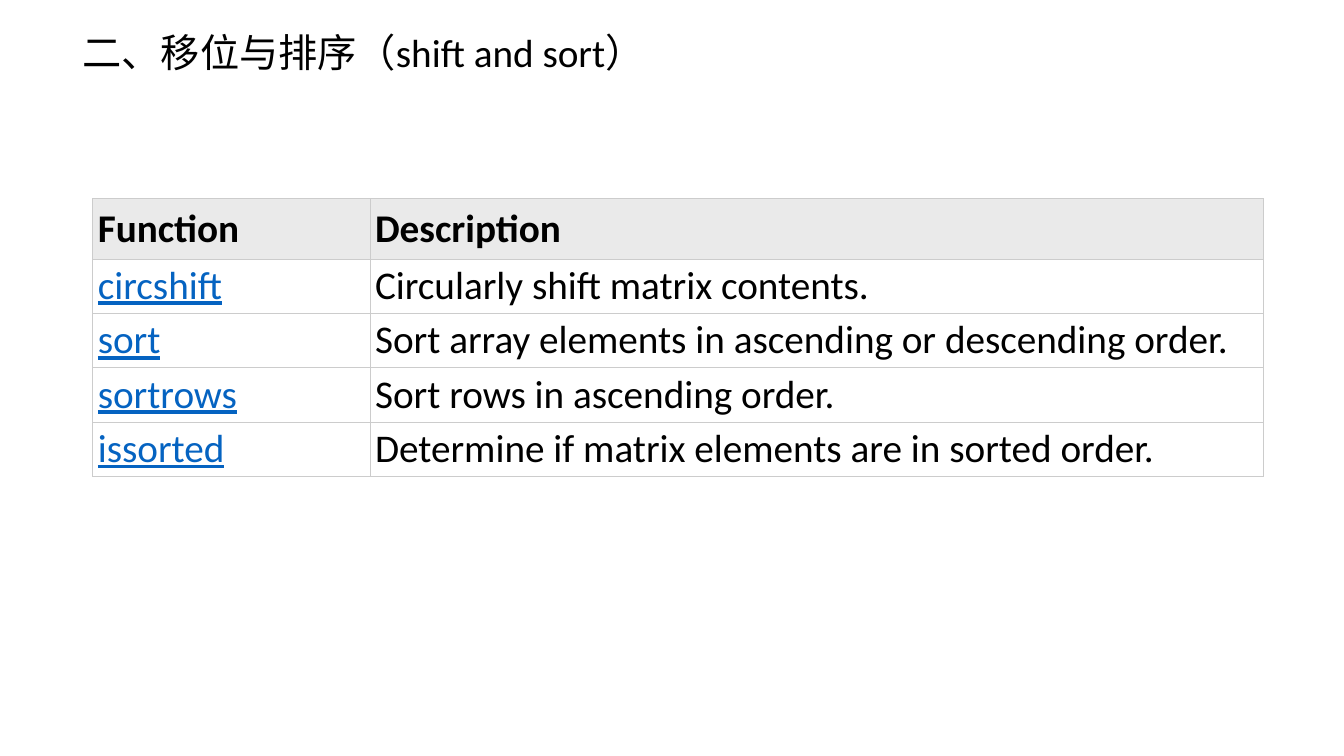
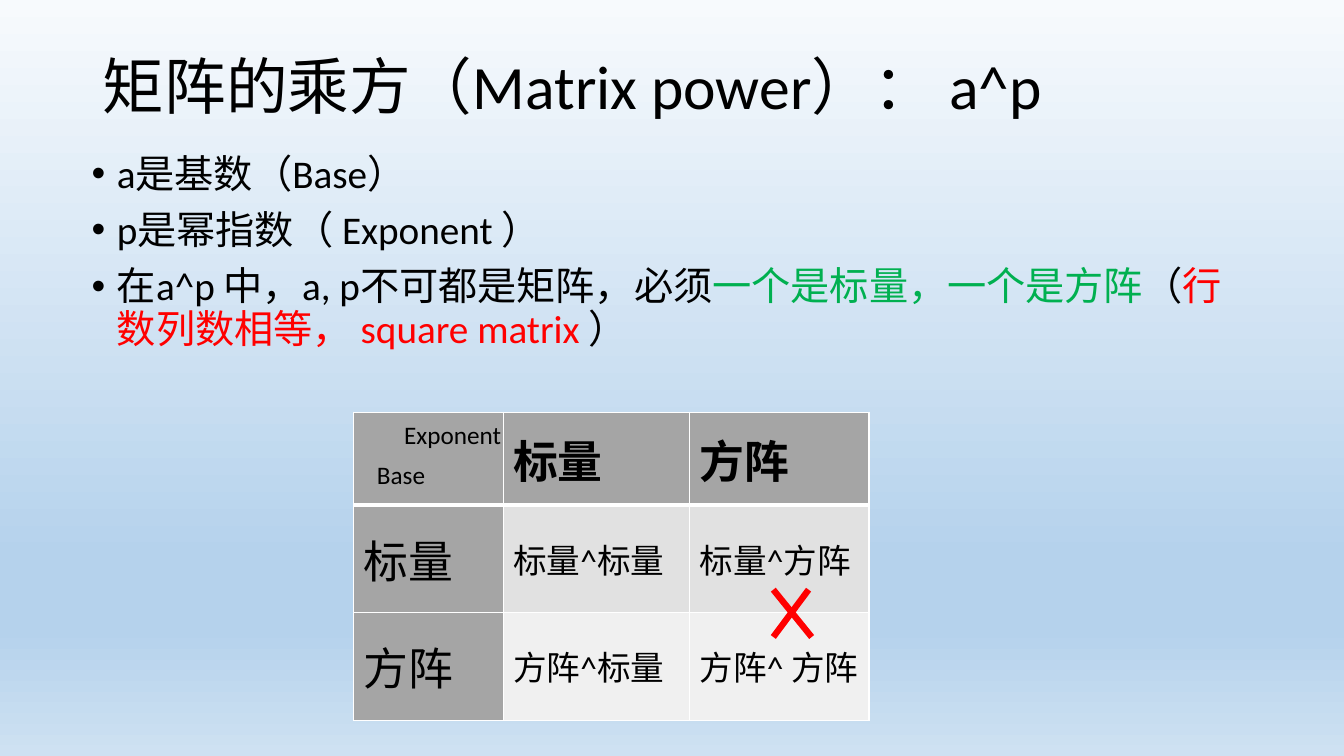
from copy import deepcopy

from pptx import Presentation
from pptx.dml.color import RGBColor
from pptx.enum import shapes, text
from pptx.oxml import ns, xmlchemy
from pptx.util import Inches, Pt

BLACK, WHITE = "000000", "FFFFFF"
LINK, RED, GREEN = "0563C1", "FF0000", "00B050"
TOP, MIDDLE = text.MSO_ANCHOR.TOP, text.MSO_ANCHOR.MIDDLE


def rgb(value):
    return RGBColor.from_string(value)


def inches(*values):
    return [Inches(v) for v in values]


class Deck:
    font = "Calibri"

    def __init__(self):
        self.prs = Presentation()
        self.prs.slide_width, self.prs.slide_height = inches(13.33, 7.5)
        self.s = None

    def slide(self, layout):
        self.s = self.prs.slides.add_slide(self.prs.slide_layouts.get_by_name(layout))

    def style(self, p, size, color=BLACK, bold=False, underline=False):
        p.font.name, p.font.size = self.font, Pt(size)
        p.font.bold, p.font.underline = bold, underline
        p.font.color.rgb = rgb(color)

    def gradient(self, stops):
        fill = self.s.background.fill
        fill.gradient()
        fill.gradient_angle = 270
        gs_list = self.s.element.find(".//" + ns.qn("a:gsLst"))
        while len(gs_list) < len(stops):
            gs_list.append(deepcopy(gs_list[0]))
        for stop, (position, color) in zip(fill.gradient_stops, stops):
            stop.position = position
            stop.color.rgb = rgb(color)

    def place(self, sp, box, anchor):
        sp.left, sp.top, sp.width, sp.height = inches(*box)
        tf = sp.text_frame
        tf.auto_size = text.MSO_AUTO_SIZE.NONE
        tf.vertical_anchor = anchor
        return tf

    def title(self, words, box, size, anchor, spacing):
        tf = self.place(self.s.shapes.title, box, anchor)
        tf.text = words
        p = tf.paragraphs[0]
        p.alignment, p.line_spacing = text.PP_ALIGN.LEFT, spacing
        self.style(p, size)

    def bullets(self, items, box, size):
        tf = self.place(self.s.placeholders[1], box, TOP)
        for i, runs in enumerate(items):
            p = tf.paragraphs[0] if i == 0 else tf.add_paragraph()
            p.line_spacing, p.space_before = 0.9, Pt(10)
            self.style(p, size)
            pPr = p._p.get_or_add_pPr()
            pPr.set("marL", str(Inches(0.25)))
            pPr.set("indent", str(-Inches(0.25)))
            for words, color in runs:
                r = p.add_run()
                r.text = words
                r.font.color.rgb = rgb(color)

    def label(self, words, box, size):
        tf = self.s.shapes.add_textbox(*inches(*box)).text_frame
        tf.text = words
        self.style(tf.paragraphs[0], size)

    def table(self, at, cols, rows):
        frame = self.s.shapes.add_table(
            len(rows), len(cols), *inches(*at, sum(cols), sum(rows)))
        tbl = frame.table
        tbl.first_row = tbl.horz_banding = False
        for column, width in zip(tbl.columns, cols):
            column.width = Inches(width)
        for row, height in zip(tbl.rows, rows):
            row.height = Inches(height)
        return tbl

    def cell(self, cell, words, fill, border, widths, anchor, margins=(0.1, 0.05), **font):
        tcPr = cell._tc.get_or_add_tcPr()
        for side, width in zip("LRTB", widths):
            ln = xmlchemy.OxmlElement(f"a:ln{side}")
            ln.set("w", str(Pt(width)))
            solid = xmlchemy.OxmlElement("a:solidFill")
            clr = xmlchemy.OxmlElement("a:srgbClr")
            clr.set("val", border)
            solid.append(clr)
            ln.append(solid)
            tcPr.append(ln)
        cell.fill.solid()
        cell.fill.fore_color.rgb = rgb(fill)
        cell.vertical_anchor = anchor
        cell.margin_left = cell.margin_right = Inches(margins[0])
        cell.margin_top = cell.margin_bottom = Inches(margins[1])
        cell.text = words
        self.style(cell.text_frame.paragraphs[0], **font)

    def line(self, start, end, color, width):
        cxn = self.s.shapes.add_connector(
            shapes.MSO_CONNECTOR.STRAIGHT, *inches(*start, *end))
        cxn.line.color.rgb = rgb(color)
        cxn.line.width = Pt(width)
        cxn._element.spPr.append(xmlchemy.OxmlElement("a:effectLst"))


def sorting_slide(deck):
    deck.slide("Title Only")
    deck.title("二、移位与排序（shift and sort）", (0.72, 0.23, 5.85, 1.04), 28, TOP, 1.0)
    rows = [
        ("Function", "Description"),
        ("circshift", "Circularly shift matrix contents."),
        ("sort", "Sort array elements in ascending or descending order."),
        ("sortrows", "Sort rows in ascending order."),
        ("issorted", "Determine if matrix elements are in sorted order."),
    ]
    tbl = deck.table((0.92, 1.97), (2.75, 8.86), [0.6] + [0.54] * 4)
    for i, row in enumerate(rows):
        head = i == 0
        for j, words in enumerate(row):
            link = j == 0 and not head
            deck.cell(tbl.cell(i, j), words, "EAEAEA" if head else WHITE,
                      "CCCCCC", [0.75] * 4, MIDDLE if head else TOP,
                      (0.05, 0.06 if head else 0.03), size=28, bold=head,
                      color=LINK if link else BLACK, underline=link)


def power_slide(deck):
    deck.slide("Title and Content")
    deck.gradient([(0, "F7FAFD"), (0.74, "B5D2EC"), (0.83, "B5D2EC"), (1, "CEE1F2")])
    deck.title("矩阵的乘方（Matrix power）： a^p", (0.92, 0.4, 10.22, 0.98), 44, MIDDLE, 0.9)
    deck.bullets([
        [("a是基数（Base）", BLACK)],
        [("p是幂指数（ Exponent ）", BLACK)],
        [("在a^p 中，a, p不可都是矩阵，必须", BLACK),
         ("一个是标量，一个是方阵", GREEN), ("（", BLACK),
         ("行数列数相等， square matrix ", RED), ("）", BLACK)],
    ], (0.81, 1.48, 11.5, 2.42), 28)

    rows = [
        ("", "标量", "方阵"),
        ("标量", "标量^标量", "标量^方阵"),
        ("方阵", "方阵^标量", "方阵^ 方阵"),
    ]
    fills = ["A5A5A5", "E1E1E1", "F0F0F0"]
    tbl = deck.table((3.51, 4.09), (1.48, 1.85, 1.78), (0.92, 1.06, 1.06))
    for i, row in enumerate(rows):
        widths = (1, 1, 3 if i == 1 else 1, 3 if i == 0 else 1)
        for j, words in enumerate(row):
            head = i == 0 or j == 0
            deck.cell(tbl.cell(i, j), words, fills[0] if head else fills[i],
                      WHITE, widths, MIDDLE, size=32 if head else 24, bold=i == 0)

    deck.label("Base", (3.64, 4.51, 0.68, 0.4), 18)
    deck.label("Exponent", (3.91, 4.11, 1.17, 0.4), 18)
    deck.line((7.67, 5.85), (8.05, 6.32), RED, 4.5)
    deck.line((8.02, 5.85), (7.67, 6.32), RED, 4.5)


def main():
    deck = Deck()
    sorting_slide(deck)
    power_slide(deck)
    deck.prs.save("out.pptx")


if __name__ == "__main__":
    main()
